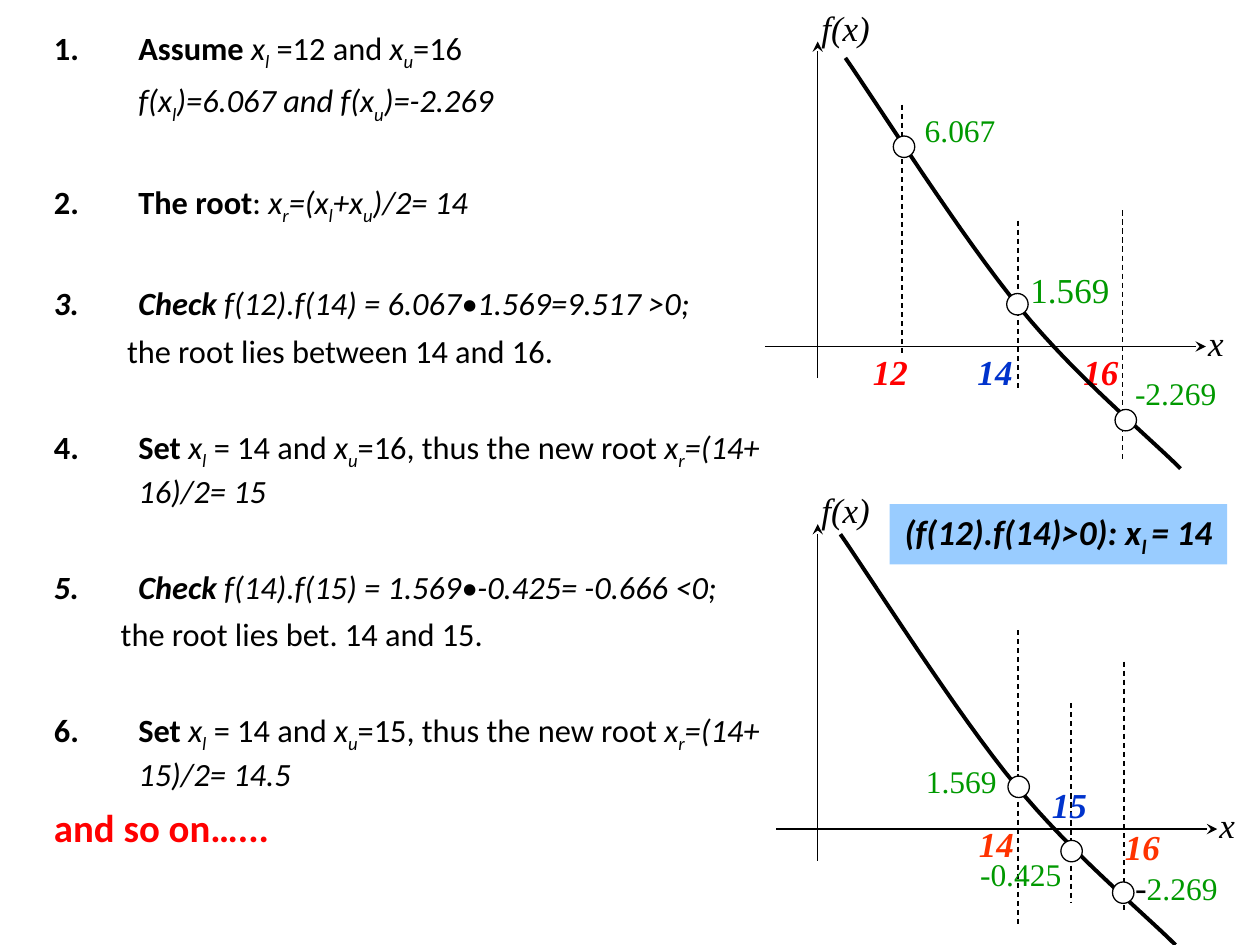
from lxml.etree import SubElement
from pptx import Presentation
from pptx.dml.color import RGBColor
from pptx.enum.dml import MSO_LINE
from pptx.enum.shapes import MSO_CONNECTOR, MSO_SHAPE
from pptx.oxml.ns import qn
from pptx.util import Inches, Pt

BLACK, RED, BLUE = "000000", "FF0000", "0033CC"
ORANGE, GREEN, SKY, WHITE = "FF3300", "009900", "99CCFF", "FFFFFF"
SERIF, SANS = "Times New Roman", "Calibri"

# Runs are (text, style): b bold, i italic, s subscript
XL, XU, XR = [[("x", "i"), (sub, "is")] for sub in "lur"]


def reset(low, high, root):
    return [("Set ", "b"), *XL, (f" = {low} and ", ""), *XU,
            (f"={high}, thus the new root ", ""), *XR,
            (f"=({low}+ {high})/2= {root}", "i")]


# Steps: number (or None), left indent, space before, runs
GAP, NEAR = 32.6, 5
STEPS = [
    (1, 0.67, NEAR, [("Assume ", "b"), *XL, (" =12 and ", ""), *XU, ("=16", "")]),
    (None, 0.67, NEAR, [("f(x", "i"), ("l", "is"), (")=6.067 and f(x", "i"),
                        ("u", "is"), (")=-2.269", "i")]),
    (2, 0.67, GAP, [("The root", "b"), (": ", ""), *XR, ("=(x", "i"), ("l", "is"),
                    ("+x", "i"), ("u", "is"), (")/2= 14", "i")]),
    (3, 0.67, GAP, [("Check", "bi"), (" f(12).f(14) = 6.067•1.569=9.517 >0;", "i")]),
    (None, 0.58, NEAR, [("the root lies between 14 and 16.", "")]),
    (4, 0.67, GAP, reset(14, 16, 15)),
    (5, 0.67, GAP, [("Check", "bi"), (" f(14).f(15) = 1.569•-0.425= -0.666 <0;", "i")]),
    (None, 0.53, NEAR, [("the root lies bet. 14 and 15.", "")]),
    (6, 0.67, GAP, reset(14, 15, 14.5)),
]
NOTE = [("(f(12).f(14)>0): x", "bi"), ("l ", "bis"), ("= 14", "bi")]

# Graphs: top offset, x-axis start, curve start, dashes (x, y1, y2),
# dots (left, top), ticks and values (text, left, top, width, size, colour)
GRAPHS = [
    dict(top=0, axis=6.07, curve=(6.71, 0.46),
         dashes=[(7.16, 0.83, 2.83), (8.08, 1.75, 3.08), (8.91, 1.67, 3.67)],
         dots=[(7.09, 1.08), (7.99, 2.33), (8.85, 3.25)],
         ticks=[("12", 6.83, 2.73, RED), ("14", 7.66, 2.73, BLUE),
                ("16", 8.5, 2.73, RED)],
         values=[("6.067", 7.24, 0.83, 18), ("1.569", 8.08, 2.08, 20),
                 ("-2.269", 8.91, 2.92, 18)]),
    dict(top=3.83, axis=6.16, curve=(6.67, 4.24),
         dashes=[(8.08, 5, 7.33), (8.5, 5.58, 7.16), (8.92, 5.25, 7.25)],
         dots=[(8, 6.16), (8.42, 6.67), (8.83, 7)],
         ticks=[("14", 7.67, 6.48, ORANGE), ("15", 8.25, 6.17, BLUE),
                ("16", 8.83, 6.5, ORANGE)],
         values=[("1.569", 7.25, 6, 18), ("-0.425", 7.68, 6.74, 18)]),
]
# Two cubic pieces, measured from the start of the curve
CURVE = [[(0, 0), (0.23, 0.33), (0.94, 1.45), (1.39, 1.99)],
         [(1.39, 1.99), (1.83, 2.53), (2.39, 2.99), (2.66, 3.26)]]

deck = Presentation()
deck.slide_width, deck.slide_height = Inches(10), Inches(7.5)
slide = deck.slides.add_slide(deck.slide_layouts[6])
shapes = slide.shapes


def paint(hue):
    return RGBColor.from_string(hue)


def write(para, text, size=20, font=SERIF, hue=BLACK, style=""):
    run = para.add_run()
    run.text = text
    face = run.font
    face.size, face.name = Pt(size), font
    face.bold, face.italic = "b" in style, "i" in style
    face.color.rgb = paint(hue)
    if "s" in style:
        run._r.get_or_add_rPr().set("baseline", "-25000")


def box(left, top, width, height=0.44):
    frame = shapes.add_textbox(*map(Inches, (left, top, width, height))).text_frame
    frame.word_wrap = True
    return frame


def label(text, left, top, width=0.5, **look):
    write(box(left, top, width).paragraphs[0], text, **look)


def rule(x1, y1, x2, y2, dash=False, arrow=False):
    line = shapes.add_connector(MSO_CONNECTOR.STRAIGHT, *map(Inches, (x1, y1, x2, y2)))
    line.line.color.rgb, line.line.width = paint(BLACK), Pt(0.75)
    if dash:
        line.line.dash_style = MSO_LINE.DASH
    if arrow:
        SubElement(line.line._get_or_add_ln(), qn("a:tailEnd"), type="stealth")
    SubElement(line._element.spPr, qn("a:effectLst"))


def bend(p0, p1, p2, p3, t):
    u = 1 - t
    return [u**3 * a + 3 * u * u * t * b + 3 * u * t * t * c + t**3 * d
            for a, b, c, d in zip(p0, p1, p2, p3)]


def curve(left, top, steps=16):
    spots = [bend(*part, n / steps) for part in CURVE for n in range(1, steps + 1)]
    path = shapes.build_freeform(Inches(left), Inches(top))
    path.add_line_segments([(Inches(left + x), Inches(top + y)) for x, y in spots],
                           close=False)
    shape = path.convert_to_shape()
    shape.shadow.inherit = False
    shape.fill.background()
    shape.line.color.rgb, shape.line.width = paint(BLACK), Pt(2.25)


def dot(left, top, size=0.17):
    shape = shapes.add_shape(MSO_SHAPE.OVAL, *map(Inches, (left, top, size, size)))
    shape.shadow.inherit = False
    shape.fill.solid()
    shape.fill.fore_color.rgb = paint(WHITE)
    shape.line.color.rgb, shape.line.width = paint(BLACK), Pt(0.75)


# Graphs
for graph in GRAPHS:
    top, axis = graph["top"], graph["axis"]
    rule(6.49, top + 3, 6.49, top + 0.33, arrow=True)
    rule(axis, top + 2.75, axis + 3.5, top + 2.75, arrow=True)
    label("f(x)", 6.42, top, 0.75, style="i")
    label("x", axis + 3.42, top + 2.5, 0.3, style="i")
    for x, y1, y2 in graph["dashes"]:
        rule(x, y1, x, y2, dash=True)
    for text, x, y, hue in graph["ticks"]:
        label(text, x, y, hue=hue, style="bi")
    for text, x, y, size in graph["values"]:
        label(text, x, y, 1.09, size=size, hue=GREEN)
    curve(*graph["curve"])
    for spot in graph["dots"]:
        dot(*spot)

# Last value, with a black minus sign
para = box(8.91, 6.82, 1.09).paragraphs[0]
write(para, "-", style="i")
write(para, "2.269", size=18, hue=GREEN)

# Note on the new lower bound
note = shapes.add_shape(MSO_SHAPE.RECTANGLE, *map(Inches, (7.06, 4, 2.68, 0.48)))
note.shadow.inherit = False
note.fill.solid()
note.fill.fore_color.rgb = paint(SKY)
note.line.fill.background()
note.text_frame.word_wrap = False
for text, style in NOTE:
    write(note.text_frame.paragraphs[0], text, font=SANS, style=style)

# Numbered steps
frame = box(0.33, 0.17, 5.92, 6.92)
for order, (number, indent, gap, runs) in enumerate(STEPS):
    para = frame.add_paragraph() if order else frame.paragraphs[0]
    para.space_before = Pt(gap)
    props = para._p.get_or_add_pPr()
    props.set("marL", str(Inches(indent)))
    if number:
        props.set("indent", str(-Inches(indent)))
        SubElement(props, qn("a:buFont"), typeface="+mj-lt")
        SubElement(props, qn("a:buAutoNum"), type="arabicPeriod", startAt=str(number))
    for text, style in runs:
        write(para, text, size=18.5, font=SANS, style=style)
para = frame.add_paragraph()
para.space_before = Pt(6)
write(para, "and so on…...", size=22.2, font=SANS, hue=RED, style="b")

deck.save("out.pptx")
